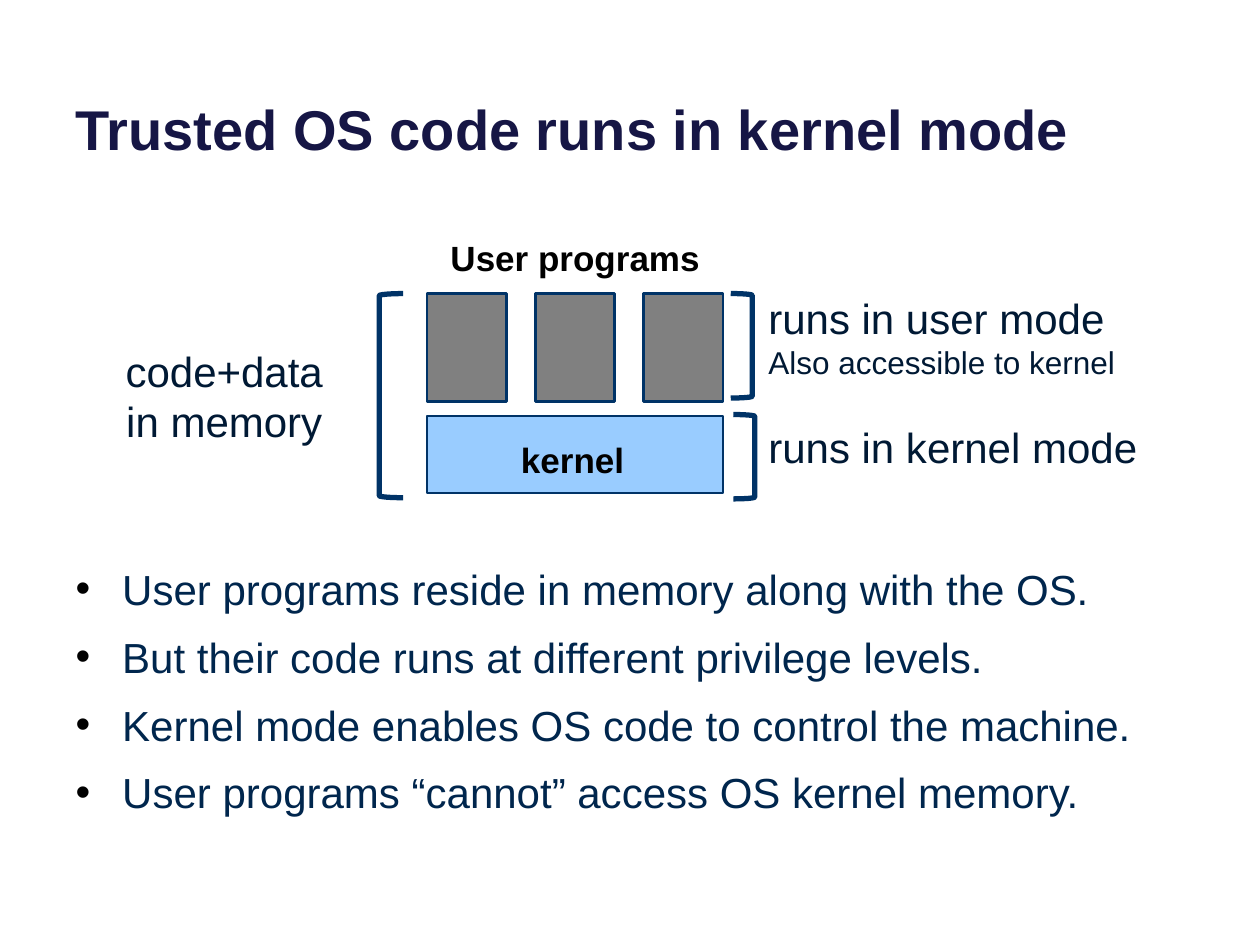
from lxml.etree import SubElement
from pptx import Presentation
from pptx.dml.color import RGBColor
from pptx.enum.shapes import MSO_SHAPE
from pptx.enum.text import MSO_ANCHOR, MSO_AUTO_SIZE, PP_ALIGN
from pptx.oxml.ns import qn
from pptx.util import Inches, Pt

COLORS = {
    "title": "161645", "body": "00264D", "label": "001934", "caption": "000000",
    "outline": "003367", "program": "808080", "kernel": "99CCFF", "bullet": "000000",
}
FONT = "Arial"
BULLETS = [
    "User programs reside in memory along with the OS.",
    "But their code runs at different privilege levels.",
    "Kernel mode enables OS code to control the machine.",
    "User programs “cannot” access OS kernel memory.",
]


def rgb(name):
    return RGBColor.from_string(COLORS[name])


def inches(*lengths):
    return [Inches(length) for length in lengths]


def place(shape, box):
    shape.left, shape.top, shape.width, shape.height = inches(*box)


def write(frame, lines, sizes, color, bold=False, align=PP_ALIGN.LEFT,
          anchor=MSO_ANCHOR.TOP, gap=0, bullet=None):
    """Fill a text frame with one paragraph a line; sizes repeat as needed."""
    frame.word_wrap = True
    frame.auto_size = MSO_AUTO_SIZE.NONE
    frame.vertical_anchor = anchor
    for index, line in enumerate(lines):
        paragraph = frame.paragraphs[0] if index == 0 else frame.add_paragraph()
        paragraph.text = line
        paragraph.alignment = align
        paragraph.space_before = Pt(gap if index else 0)
        if bullet:
            add_bullet(paragraph, bullet)
        font = paragraph.runs[0].font
        font.name, font.size, font.bold = FONT, Pt(sizes[index % len(sizes)]), bold
        font.color.rgb = rgb(color)


def add_bullet(paragraph, mark, indent=0.37):
    properties = paragraph._p.get_or_add_pPr()
    properties.set("marL", str(Inches(indent)))
    properties.set("indent", str(-Inches(indent)))
    color = SubElement(properties, qn("a:buClr"))
    SubElement(color, qn("a:srgbClr"), val=COLORS["bullet"])
    SubElement(properties, qn("a:buFont"), typeface=FONT)
    SubElement(properties, qn("a:buChar"), char=mark)


def add_label(slide, box, lines, sizes=(24,), color="label", **style):
    label = slide.shapes.add_textbox(*inches(*box))
    write(label.text_frame, lines, sizes, color, **style)


def add_block(shapes, kind, box, fill, weight):
    block = shapes.add_shape(kind, *inches(*box))
    block.shadow.inherit = False
    if fill:
        block.fill.solid()
        block.fill.fore_color.rgb = rgb(fill)
    else:
        block.fill.background()
    block.line.color.rgb = rgb("outline")
    block.line.width = Pt(weight)
    return block


def add_bracket(slide, box, rotation=0):
    bracket = add_block(slide.shapes, MSO_SHAPE.RIGHT_BRACKET, box, None, 3)
    bracket.adjustments[0] = 0.084
    bracket.rotation = rotation


def add_title(slide, box):
    place(slide.shapes.title, box)
    write(slide.shapes.title.text_frame, ["Trusted OS code runs in kernel mode"],
          [32], "title", bold=True, anchor=MSO_ANCHOR.BOTTOM)


def add_points(slide, box):
    body = slide.placeholders[1]
    place(body, box)
    write(body.text_frame, BULLETS, [24], "body", gap=10, bullet="•")


def add_memory_diagram(slide, box):
    left, top, width, height = box
    right = left + width
    caption = {"sizes": (20,), "color": "caption", "bold": True, "align": PP_ALIGN.CENTER}

    # Memory: three programs above the kernel
    program_width, program_height, kernel_height = 0.63, 0.86, 0.61
    step = (width - program_width) / 2
    kernel_top = top + height - kernel_height
    memory = slide.shapes.add_group_shape().shapes
    for column in range(3):
        add_block(memory, MSO_SHAPE.RECTANGLE,
                  (left + column * step, top, program_width, program_height), "program", 1.5)
    add_block(memory, MSO_SHAPE.FLOWCHART_PROCESS,
              (left, kernel_top, width, kernel_height), "kernel", 1)
    add_label(slide, (left, top - 0.5, width, 0.44), ["User programs"], **caption)
    add_label(slide, (left + 0.52, kernel_top + 0.13, 1.27, 0.44), ["kernel"], **caption)

    # Brackets
    add_bracket(slide, (left - 0.38, top, 0.19, 1.62), rotation=180)
    add_bracket(slide, (right + 0.06, top, 0.17, 0.83))
    add_bracket(slide, (right + 0.08, kernel_top - 0.01, 0.17, 0.67))

    # Side labels
    add_label(slide, (left - 2.61, top + 0.36, 2, 0.91), ["code+data in memory"],
              align=PP_ALIGN.CENTER)
    add_label(slide, (right + 0.26, top - 0.06, 3.33, 0.81),
              ["runs in user mode", "Also accessible to kernel"], sizes=(24, 18))
    add_label(slide, (right + 0.26, kernel_top, 3.17, 0.5), ["runs in kernel mode"])


def main():
    deck = Presentation()
    deck.slide_width, deck.slide_height = inches(10, 7.5)
    slide = deck.slides.add_slide(deck.slide_layouts[1])
    add_title(slide, (0.5, -0.37, 9, 1.7))
    add_points(slide, (0.5, 4.42, 9, 2.17))
    add_memory_diagram(slide, (3.39, 2.33, 2.35, 1.58))
    deck.save("out.pptx")


if __name__ == "__main__":
    main()
